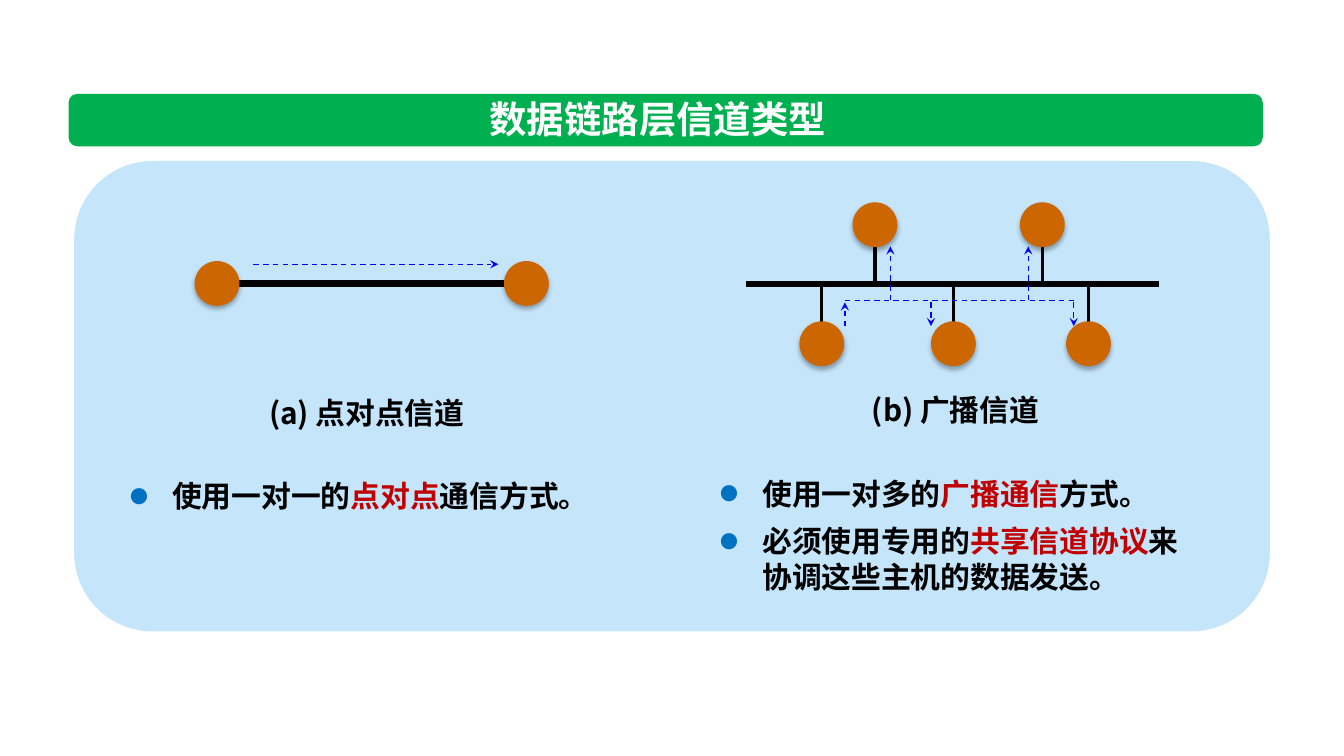
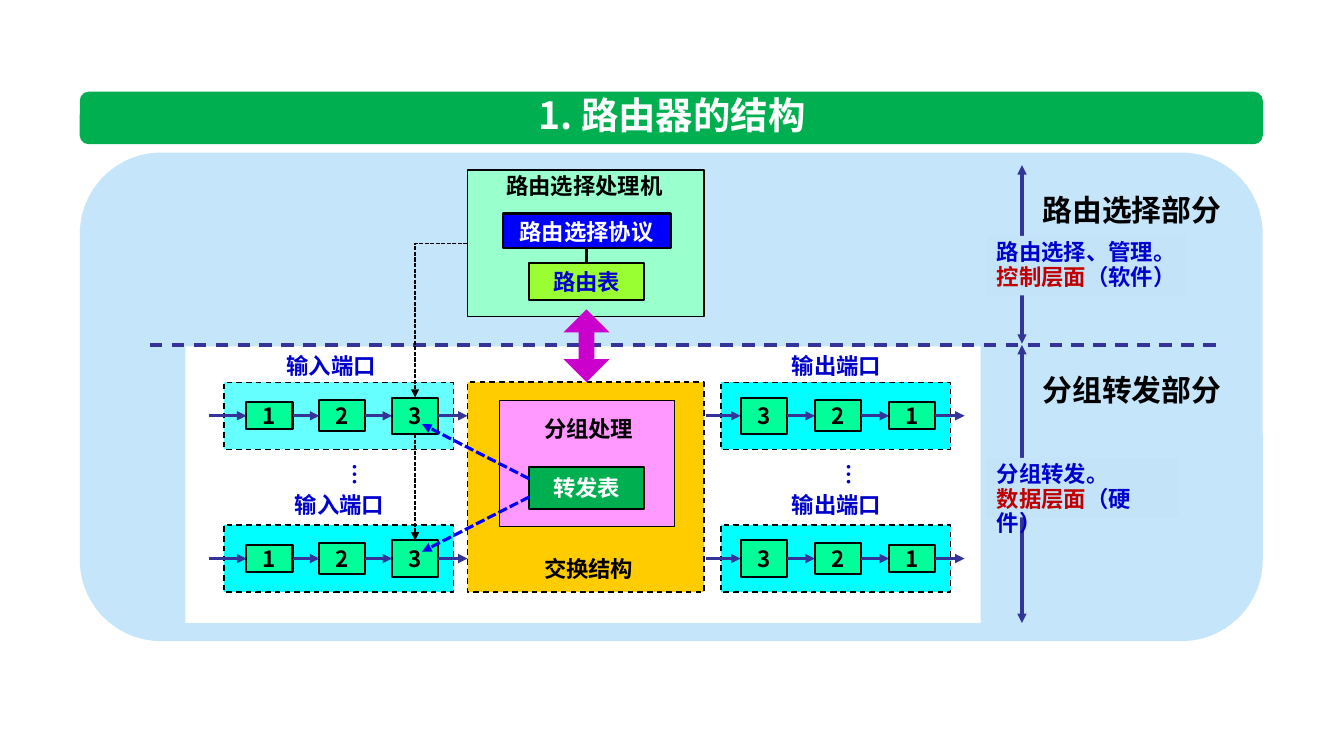
from lxml.etree import SubElement
from pptx import Presentation
from pptx.dml.color import RGBColor
from pptx.enum.dml import MSO_LINE
from pptx.enum.shapes import MSO_CONNECTOR, MSO_SHAPE
from pptx.enum.text import MSO_ANCHOR, PP_ALIGN
from pptx.oxml.ns import qn
from pptx.util import Pt

FACE = "Noto Sans CJK SC"
BLACK = RGBColor(0x00, 0x00, 0x00)
WHITE = RGBColor(0xFF, 0xFF, 0xFF)
GREEN = RGBColor(0x00, 0xB0, 0x50)
PALE = RGBColor(0xC5, 0xE5, 0xFB)
NOTE = RGBColor(0xC3, 0xE3, 0xF9)
BROWN = RGBColor(0xCC, 0x66, 0x00)
RED = RGBColor(0xC0, 0x00, 0x00)
DOT = RGBColor(0x00, 0x70, 0xC0)
BLUE = RGBColor(0x00, 0x00, 0xFF)
INK = RGBColor(0x00, 0x00, 0xCC)
NAVY = RGBColor(0x33, 0x33, 0x99)
MINT = RGBColor(0x99, 0xFF, 0xCC)
LIME = RGBColor(0x99, 0xFF, 0x33)
JADE = RGBColor(0x00, 0xFF, 0x99)
AQUA = RGBColor(0x66, 0xFF, 0xFF)
CYAN = RGBColor(0x00, 0xFF, 0xFF)
GOLD = RGBColor(0xFF, 0xCC, 0x00)
PINK = RGBColor(0xFF, 0x99, 0xFF)
PURPLE = RGBColor(0xCC, 0x00, 0xCC)

# Pens: colour, width, dash
THIN = (BLACK, 1, None)
EDGE = (BLACK, 1.5, None)
DASH = (BLACK, 1, MSO_LINE.DASH)
FEED = (BLACK, 1, MSO_LINE.SQUARE_DOT)
STEM = (BLACK, 2.25, None)
BUS = (BLACK, 4.5, None)
FLOW = (BLUE, 1, MSO_LINE.DASH)
LOOKUP = (BLUE, 2.25, MSO_LINE.SQUARE_DOT)
AXIS = (NAVY, 2.25, None)
SPLIT = (NAVY, 2.25, MSO_LINE.DASH)

SMALL, LARGE, TITLE = 16, 21.3, 26.7
TOP, BOTTOM, LEFT, RIGHT = 0, 2, 1, 3


def style(target, values):
    for name, value in values.items():
        setattr(target, name, value)


def draw(line, pen):
    colour, width, dash = pen
    line.color.rgb = colour
    style(line, {"width": Pt(width), "dash_style": dash})


def write(frame, paras, size, colour, align=PP_ALIGN.CENTER, wrap=False,
          anchor=MSO_ANCHOR.TOP, lead=1.21):
    """Each paragraph is a list of (text, colour) runs or a plain string."""
    style(frame, {"word_wrap": wrap, "vertical_anchor": anchor})
    for i, runs in enumerate(paras):
        para = frame.add_paragraph() if i else frame.paragraphs[0]
        style(para, {"alignment": align, "line_spacing": Pt(size * lead)})
        if isinstance(runs, str):
            runs = [(runs, colour)]
        for text, shade in runs:
            run = para.add_run()
            run.text = text
            style(run.font, {"name": FACE, "size": Pt(size), "bold": True})
            run.font.color.rgb = shade
            SubElement(run._r.get_or_add_rPr(), qn("a:ea")).set("typeface", FACE)


def label(slide, box, paras, size=SMALL, colour=INK, **opts):
    shape = slide.shapes.add_textbox(*map(Pt, box))
    write(shape.text_frame, paras, size, colour, **opts)
    return shape


def block(slide, box, fill, pen=None, kind=MSO_SHAPE.RECTANGLE, text=None,
          colour=BLACK):
    shape = slide.shapes.add_shape(kind, *map(Pt, box))
    shape.shadow.inherit = False
    shape.fill.solid()
    shape.fill.fore_color.rgb = fill
    if pen:
        draw(shape.line, pen)
    else:
        shape.line.fill.background()
    if text:
        write(shape.text_frame, [text], SMALL, colour, anchor=MSO_ANCHOR.MIDDLE)
    return shape


def link(slide, start, end, pen, tail=None, head=None, begin=None, stop=None,
         kind=MSO_CONNECTOR.STRAIGHT):
    """begin and stop are (shape, side) pairs to join."""
    line = slide.shapes.add_connector(kind, *map(Pt, start + end))
    draw(line.line, pen)
    stroke = line.line._get_or_add_ln()
    for tag, mark in (("a:headEnd", head), ("a:tailEnd", tail)):
        if mark:
            SubElement(stroke, qn(tag)).set("type", mark)
    SubElement(line._element.spPr, qn("a:effectLst"))
    if begin:
        line.begin_connect(*begin)
    if stop:
        line.end_connect(*stop)
    return line


def node(slide, x, y):
    """A host: a disc with a soft shadow, centred at x, y."""
    disc = block(slide, (x - 16, y - 16, 32, 32), BROWN, kind=MSO_SHAPE.OVAL)
    glow = SubElement(disc._element.spPr.find(qn("a:effectLst")), qn("a:outerShdw"))
    for name, value in {"blurRad": Pt(3.5), "dist": Pt(2.2), "dir": 5400000,
                        "rotWithShape": 0}.items():
        glow.set(name, str(value))
    shade = SubElement(glow, qn("a:srgbClr"))
    shade.set("val", str(BLACK))
    SubElement(shade, qn("a:alpha")).set("val", "32000")


def points(slide, box, head, items):
    """A centred heading with bullets below it."""
    shape = label(slide, box, [head] + items, LARGE, BLACK, wrap=True)
    for i, para in enumerate(shape.text_frame.paragraphs[1:]):
        style(para, {"alignment": PP_ALIGN.LEFT, "space_before": Pt(8 if i else 34)})
        props = para._p.get_or_add_pPr()
        style_of = {"marL": Pt(30), "indent": -Pt(30)}
        for name, value in style_of.items():
            props.set(name, str(value))
        tint = SubElement(props, qn("a:buClr"))
        SubElement(tint, qn("a:srgbClr")).set("val", str(DOT))
        SubElement(props, qn("a:buSzPct")).set("val", "60000")
        SubElement(props, qn("a:buFont")).set("typeface", FACE)
        SubElement(props, qn("a:buChar")).set("char", "●")


def page(deck, bar, panel, box, title):
    """What the slides share: title band and pale panel."""
    slide = deck.slides.add_slide(deck.slide_layouts[6])
    for area, fill in ((bar, GREEN), (panel, PALE)):
        block(slide, area, fill, kind=MSO_SHAPE.ROUNDED_RECTANGLE)
    label(slide, box, [title], TITLE, WHITE)
    return slide


def lane(slide, x, y, fill, first, step, digits, ends):
    """A port: numbered boxes in a dashed frame, chained by arrows."""
    block(slide, (x, y - 24, 164, 48), fill, DASH)
    high = {"1": 19, "2": 22, "3": 26}
    boxes = [block(slide, (first + i * step, y - high[d] / 2, 33, high[d]),
                   JADE, EDGE, text=d) for i, d in enumerate(digits)]
    stops = [None] + boxes + [None]
    for a, b in zip(stops, stops[1:]):
        link(slide, (ends[0], y), (ends[1], y), AXIS, "triangle",
             begin=a and (a, RIGHT), stop=b and (b, LEFT))
    return boxes


def channels(deck):
    slide = page(deck, (49, 67, 853, 37.5), (53, 115, 854, 336),
                 (342, 65, 256, 40), "数据链路层信道类型")
    # Point-to-point channel
    link(slide, (155, 202.5), (376, 202.5), BUS)
    for x in (155, 376):
        node(slide, x, 202.5)
    link(slide, (181, 188.8), (356, 188.8), FLOW, "stealth")

    # Broadcast bus with hosts above and below
    link(slide, (533, 203), (828, 203), BUS)
    for x, y in ((625, 160.5), (744.5, 160.5), (587, 245.5), (681, 245.5),
                 (777.5, 245.5)):
        link(slide, (x, y), (x, 203), STEM)
        node(slide, x, y)

    # Signal paths
    link(slide, (603.5, 214.5), (767, 214.5), FLOW)
    for x, start, end in ((636, 214.5, 176), (734.5, 214.5, 176), (665, 216, 233),
                          (767, 216, 233), (603.5, 233, 216)):
        link(slide, (x, start), (x, end), FLOW, "stealth")

    points(slide, (86, 278, 352, 93), "(a) 点对点信道", [
        [("使用一对一的", BLACK), ("点对点", RED), ("通信方式。", BLACK)]])
    points(slide, (507.5, 276, 350, 153), "(b) 广播信道", [
        [("使用一对多的", BLACK), ("广播通信", RED), ("方式。", BLACK)],
        [("必须使用专用的", BLACK), ("共享信道协议", RED),
         ("来协调这些主机的数据发送。", BLACK)]])


def router(deck):
    slide = page(deck, (57, 65.5, 845, 37.5), (57, 109, 845, 349),
                 (204, 62, 552, 40), "1. 路由器的结构")
    block(slide, (132.5, 247.5, 568, 197.5), WHITE)

    # Routing processor
    cpu = block(slide, (334, 121.5, 169, 104.5), MINT, THIN)
    label(slide, (338.5, 119, 158, 26.5), ["路由选择处理机"], colour=BLACK)
    rules = block(slide, (359, 152.5, 120, 25), BLUE, EDGE,
                  text="路由选择协议", colour=WHITE)
    table = block(slide, (378, 188, 82, 26.5), LIME, EDGE, text="路由表", colour=INK)
    link(slide, (419, 177.5), (419, 188), STEM, begin=(rules, BOTTOM),
         stop=(table, TOP))

    # Switching fabric
    block(slide, (334, 273, 169, 150), GOLD, DASH)
    block(slide, (356.5, 286, 125, 90), PINK, (BLACK, 0.75, None))
    block(slide, (378, 333.5, 82, 30), GREEN, EDGE, text="转发表", colour=WHITE)
    for x, y, text in ((381, 292.5, "分组处理"), (381, 393, "交换结构")):
        label(slide, (x, y, 79, 26.5), [text], colour=BLACK)

    # Input and output ports
    ports = []
    for y, fill, x, top in ((297, AQUA, 197, 247.5), (399, CYAN, 203, 347)):
        ports.append(lane(slide, 160, y, fill, 176, 52, "123", (149, 334))[-1])
        lane(slide, 515, y, CYAN, 529, 53, "321", (504, 689))
        for left, text in ((x, "输入端口"), (558, "输出端口")):
            label(slide, (left, top, 79, 26.5), [text])
    for x in (239, 592):
        label(slide, (x, 326, 30, 26.5), ["…"]).rotation = 90

    # Split between control and data planes
    link(slide, (107, 246.5), (875, 246.5), SPLIT)
    for start, end, top, wide, name, note, plane, means in (
            (118, 245.5, 168.5, 142, "路由选择部分", "路由选择、管理。", "控制层面", "（软件）"),
            (246.5, 445, 327, 137, "分组转发部分", "分组转发。", "数据层面", "（硬件）")):
        link(slide, (730, start), (730, end), AXIS, "triangle", "triangle")
        note_box = block(slide, (705, top, wide, 42.5), NOTE)
        write(note_box.text_frame, [note, [(plane, RED), (means, INK)]], SMALL, INK,
              align=PP_ALIGN.LEFT, wrap=True, lead=1.09)
        label(slide, (736.5, start + 15.5, 144, 33), [name], LARGE, BLACK)

    # Table lookups and updates
    for start, end in ((342, 303), (355, 394)):
        link(slide, (378, start), (301.5, end), LOOKUP, "triangle")
    block(slide, (402.5, 221, 33, 52), PURPLE, kind=MSO_SHAPE.UP_DOWN_ARROW
          ).adjustments[1] = 0.34
    bend = link(slide, (334, 173.75), (296.5, 284), FEED, "triangle",
                begin=(cpu, LEFT), stop=(ports[0], TOP), kind=MSO_CONNECTOR.ELBOW)
    bend._element.spPr.find(qn("a:prstGeom")).set("prst", "bentConnector2")
    link(slide, (296.5, 310), (296.5, 386), FEED, "triangle",
         begin=(ports[0], BOTTOM), stop=(ports[1], TOP))


def main():
    deck = Presentation()
    style(deck, {"slide_width": Pt(960), "slide_height": Pt(540)})
    channels(deck)
    router(deck)
    deck.save("out.pptx")


if __name__ == "__main__":
    main()
